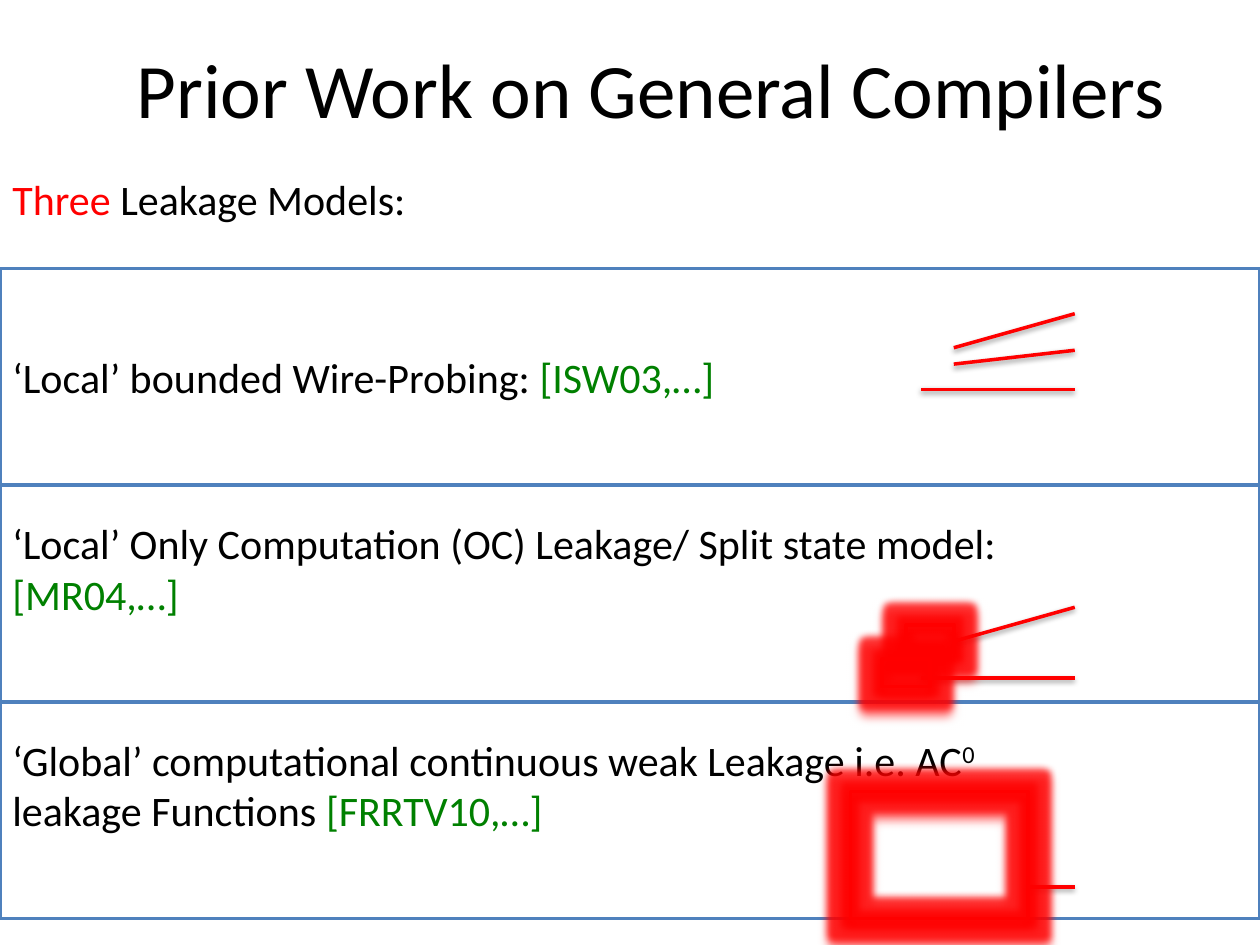
from lxml import etree
from pptx import Presentation
from pptx.dml.color import RGBColor
from pptx.enum.shapes import MSO_CONNECTOR, MSO_SHAPE
from pptx.enum.text import MSO_ANCHOR, PP_ALIGN
from pptx.oxml.ns import qn
from pptx.util import Inches, Pt

STRAIGHT = MSO_CONNECTOR.STRAIGHT
RECTANGLE = MSO_SHAPE.RECTANGLE
MIDDLE, TOP = MSO_ANCHOR.MIDDLE, MSO_ANCHOR.TOP
LEFT, CENTER = PP_ALIGN.LEFT, PP_ALIGN.CENTER

THEME = {
    "font": "Calibri", "title": 44, "body": 24, "line": 2,
    "text": "000000", "cite": "008000", "accent": "FF0000",
    "border": "4F81BD", "paper": "FFFFFF",
}

TITLE = [[("Prior Work on General Compilers", "text")]]
INTRO = [[("Three", "accent"), (" Leakage Models:", "text")]]
MODELS = [
    [[("‘Local’ bounded Wire-Probing: ", "text"), ("[ISW03,…]", "cite")]],
    [[("‘Local’ Only Computation (OC) Leakage/ Split state model:", "text")],
     [("[MR04,…]", "cite")]],
    [[("‘Global’ computational continuous weak Leakage i.e. AC", "text"),
      ("0", "text", 30)],
     [("leakage Functions ", "text"), ("[FRRTV10,…]", "cite")]],
]
ROW_TOP, ROW_HEIGHT = 2.13, 1.72
BOTTOM_INSETS = [0.05, 0.45, 0.45]
PROBE_END = 8.53
PROBES = [
    (7.57, 2.76, 2.49), (7.31, 3.09, 3.09), (7.57, 2.89, 2.78),
    (7.31, 5.38, 5.38), (8.15, 7.04, 7.04), (7.57, 5.09, 4.82),
]
LEAKS = [(7.19, 4.96, 0.38, 0.22), (7, 5.23, 0.38, 0.22), (6.75, 6.28, 1.41, 1.01)]


def color(name):
    """Return a theme colour."""
    return RGBColor.from_string(THEME[name])


def write(sp, paragraphs, size, anchor=MIDDLE, align=LEFT, wrap=True):
    """Fill a shape with paragraphs of coloured runs."""
    tf = sp.text_frame
    tf.word_wrap = wrap
    tf.vertical_anchor = anchor
    for i, runs in enumerate(paragraphs):
        p = tf.paragraphs[0] if i == 0 else tf.add_paragraph()
        p.alignment = align
        p.font.name = THEME["font"]
        p.font.size = Pt(THEME[size])
        for text, tone, *raised in runs:
            r = p.add_run()
            r.text = text
            r.font.color.rgb = color(tone)
            if raised:
                r.font._element.set("baseline", str(raised[0] * 1000))


def outline(sp, name):
    """Give a shape or connector its line."""
    sp.line.color.rgb = color(name)
    sp.line.width = Pt(THEME["line"])


def add_effects(sp, name, alpha, blur, distance, glow=0):
    """Add a downward shadow and an optional glow."""
    props = sp._element.spPr
    for old in props.findall(qn("a:effectLst")):
        props.remove(old)
    effects = etree.SubElement(props, qn("a:effectLst"))
    specs = []
    if glow:
        specs.append(("a:glow", {"rad": Pt(glow)}, 75))
    specs.append(("a:outerShdw", {"blurRad": Pt(blur), "dist": Pt(distance),
                                  "dir": 90 * 60000, "rotWithShape": 0}, alpha))
    for tag, attrs, opacity in specs:
        effect = etree.SubElement(effects, qn(tag),
                                  {k: str(int(v)) for k, v in attrs.items()})
        tone = etree.SubElement(effect, qn("a:srgbClr"), val=THEME[name])
        etree.SubElement(tone, qn("a:alpha"), val=str(opacity * 1000))


def add_box(s, box):
    """Add a plain rectangle."""
    sp = s.shapes.add_shape(RECTANGLE, *map(Inches, box))
    sp.shadow.inherit = False
    return sp


def main():
    """Build the slide."""
    prs = Presentation()
    prs.slide_width, prs.slide_height = Inches(10), Inches(7.5)
    s = prs.slides.add_slide(prs.slide_layouts[6])

    for i, (model, inset) in enumerate(zip(MODELS, BOTTOM_INSETS)):
        sp = add_box(s, (0, ROW_TOP + i * ROW_HEIGHT, 10, ROW_HEIGHT))
        sp.fill.solid()
        sp.fill.fore_color.rgb = color("paper")
        outline(sp, "border")
        write(sp, model, "body")
        sp.text_frame.margin_bottom = Inches(inset)

    title = s.shapes.add_textbox(*map(Inches, (0.67, 0.07, 9, 1.25)))
    write(title, TITLE, "title", align=CENTER)
    intro = s.shapes.add_textbox(*map(Inches, (0, 1.33, 3.37, 0.91)))
    write(intro, INTRO, "body", anchor=TOP, wrap=False)

    for x, y, end_y in PROBES:
        probe = s.shapes.add_connector(
            STRAIGHT, *map(Inches, (x, y, PROBE_END, end_y)))
        outline(probe, "accent")
        add_effects(probe, "text", 38, 3.1, 1.6)

    for box in LEAKS:
        leak = add_box(s, box)
        leak.fill.background()
        outline(leak, "accent")
        add_effects(leak, "accent", 100, 4, 4, glow=8)

    prs.save("out.pptx")


if __name__ == "__main__":
    main()
